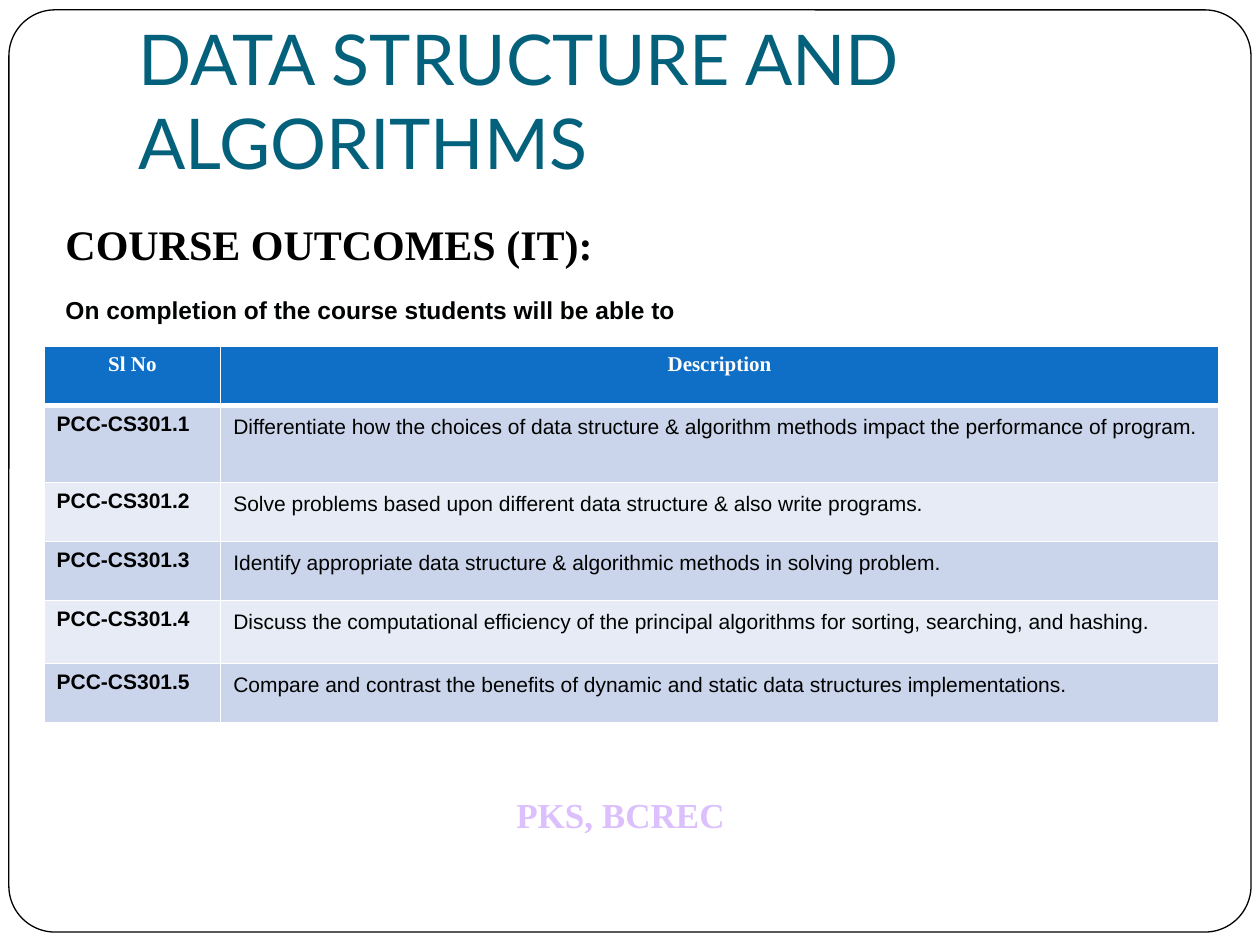
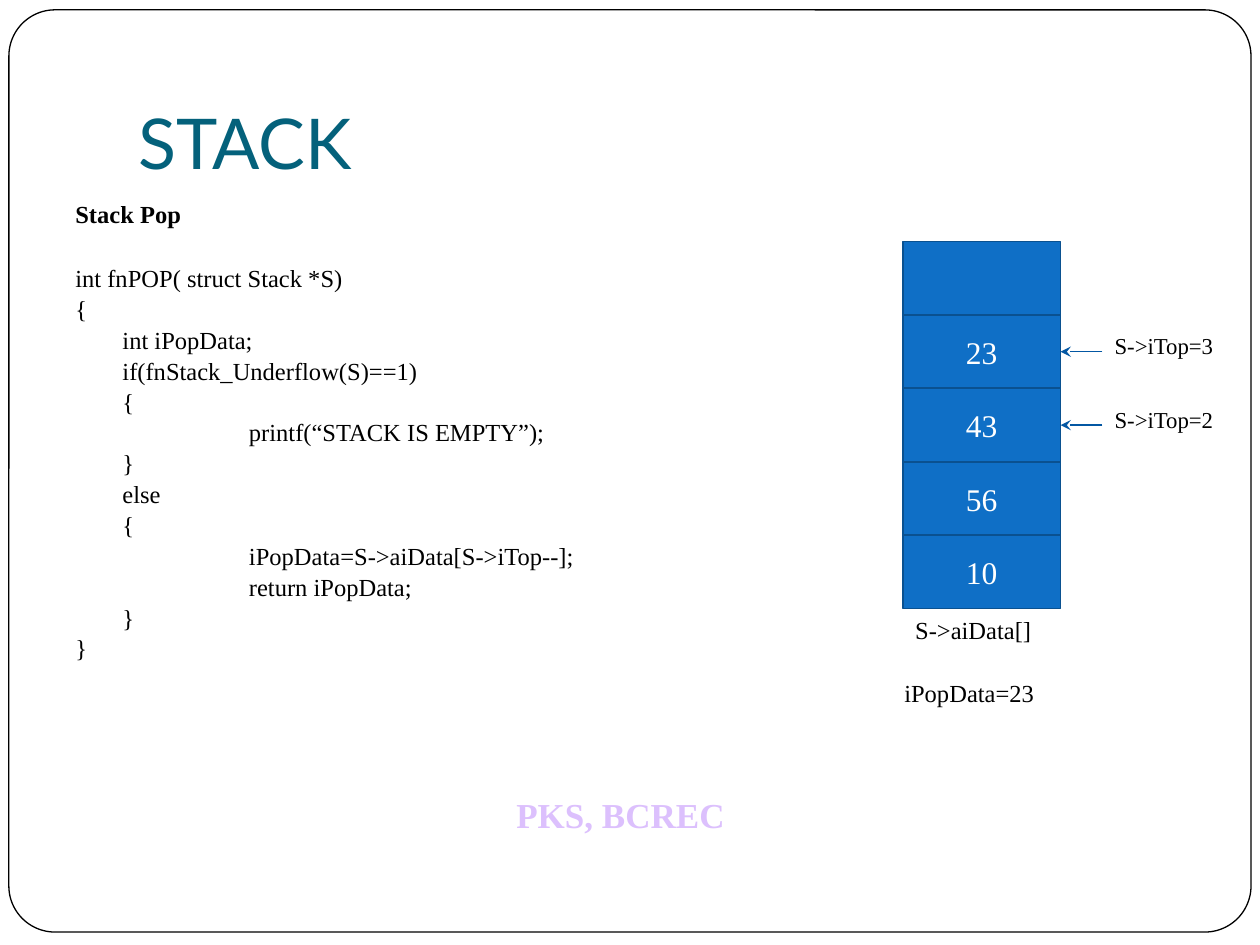
from lxml.etree import SubElement as Sub
from pptx import Presentation
from pptx.dml.color import RGBColor as Rgb
from pptx.enum.shapes import MSO_CONNECTOR as Link, MSO_SHAPE as Kind
from pptx.enum.text import MSO_ANCHOR as Anchor, PP_ALIGN as Align
from pptx.oxml.ns import qn
from pptx.util import Cm, Pt

WHITE = Rgb(0xFF, 0xFF, 0xFF)
BLACK = Rgb(0x00, 0x00, 0x00)
INK = Rgb(0x01, 0x02, 0x02)
TEAL = Rgb(0x04, 0x61, 0x7B)
LILAC = Rgb(0xDC, 0xC0, 0xFD)
BLUE = Rgb(0x0F, 0x6F, 0xC6)
EDGE = Rgb(0x0A, 0x51, 0x90)
ARROW = Rgb(0x03, 0x57, 0xA3)
BANDS = Rgb(0xCA, 0xD4, 0xEA), Rgb(0xE6, 0xEB, 0xF5)
SERIF, SANS, HEAD = "Times New Roman", "Arial", "Lato"

GOALS = [
    "Differentiate how the choices of data structure & algorithm methods "
    "impact the performance of program.",
    "Solve problems based upon different data structure & also write programs.",
    "Identify appropriate data structure & algorithmic methods in solving problem.",
    "Discuss the computational efficiency of the principal algorithms "
    "for sorting, searching, and hashing.",
    "Compare and contrast the benefits of dynamic and static data structures "
    "implementations.",
]
CODE = [
    (0, "int fnPOP( struct Stack *S)"),
    (0, "{"),
    (1, "int iPopData;"),
    (1, "if(fnStack_Underflow(S)==1)"),
    (1, "{"),
    (2, "printf(“STACK IS EMPTY”);"),
    (1, "}"),
    (1, "else"),
    (1, "{"),
    (2, "iPopData=S->aiData[S->iTop--];"),
    (2, "return iPopData;"),
    (1, "}"),
    (0, "}"),
]
TABS = Cm(0), Cm(0.95), Cm(3.5)


def style(par, text, size, color=BLACK, face=SERIF, bold=False):
    """Fill a paragraph with text in one font."""
    par.text = text
    font = par.font
    font.size, font.name, font.bold = Pt(size), face, bold
    font.color.rgb = color
    return par


def space(par, line, before, after=0):
    """Set line spacing and the gaps around a paragraph."""
    par.line_spacing = line
    par.space_before, par.space_after = Pt(before), Pt(after)


def text_box(slide, box):
    """Add a wrapping text box and return its frame."""
    frame = slide.shapes.add_textbox(*map(Cm, box)).text_frame
    frame.word_wrap = True
    return frame


def label(slide, box, text, size, color=BLACK, bold=False):
    """Add a one-paragraph text box."""
    style(text_box(slide, box).paragraphs[0], text, size, color, bold=bold)


def block(slide, kind, box, fill, edge, width):
    """Add a filled, outlined shape without shadow."""
    shape = slide.shapes.add_shape(kind, *map(Cm, box))
    shape.shadow.inherit = False
    shape.fill.solid()
    shape.fill.fore_color.rgb = fill
    shape.line.color.rgb = edge
    shape.line.width = Pt(width)
    return shape


def base(deck, title):
    """Add a slide with the shared frame, footer and title."""
    slide = deck.slides.add_slide(deck.slide_layouts[6])
    frame = block(slide, Kind.ROUNDED_RECTANGLE, (0.18, 0.2, 25.04, 18.59),
                  WHITE, BLACK, 0.75)
    frame.adjustments[0] = 0.05
    label(slide, (10.16, 15.88, 5.72, 1.12), "PKS, BCREC", 20, LILAC, True)
    head = text_box(slide, (2.54, 0.76, 21.59, 3.18))
    head.vertical_anchor = Anchor.BOTTOM
    head.margin_bottom = Cm(0.25)
    style(head.paragraphs[0], title, 40, TEAL, HEAD)
    return slide


def border(cell, bottom):
    """Draw white lines round a cell, with the given bottom width."""
    props = cell._tc.get_or_add_tcPr()
    for spot, (side, width) in enumerate(
            [("lnL", 1), ("lnR", 1), ("lnT", 1), ("lnB", bottom)]):
        line = Sub(props, qn("a:" + side), w=str(Pt(width)))
        Sub(Sub(line, qn("a:solidFill")), qn("a:srgbClr"), val=str(WHITE))
        props.insert(spot, line)


def goal_table(slide, box):
    """Place the table of course outcomes in the box."""
    rows = [("Sl No", "Description")]
    rows += [(f"PCC-CS301.{n}", goal) for n, goal in enumerate(GOALS, 1)]
    grid = slide.shapes.add_table(len(rows), 2, *map(Cm, box)).table
    grid.columns[0].width = Cm(3.56)
    grid.columns[1].width = Cm(box[2] - 3.56)
    for r, (row, high) in enumerate(zip(rows, (1.19, 1.55, 1.19, 1.19, 1.27, 1.19))):
        grid.rows[r].height = Cm(high)
        for c, text in enumerate(row):
            cell = grid.cell(r, c)
            cell.fill.solid()
            cell.fill.fore_color.rgb = BANDS[(r - 1) % 2] if r else BLUE
            border(cell, 1 if r else 3)
            par = cell.text_frame.paragraphs[0]
            if r == 0:
                style(par, text, 12, WHITE, bold=True).alignment = Align.CENTER
            elif c == 0:
                style(par, text, 12, BLACK, SANS, True)
            else:
                space(style(par, text, 12, INK, SANS), 1.15, 12, 12)


def course_slide(deck):
    """Build the slide of course outcomes."""
    slide = base(deck, "DATA STRUCTURE AND ALGORITHMS")
    intro = text_box(slide, (1.07, 4.29, 14.63, 1.63))
    style(intro.paragraphs[0], "COURSE OUTCOMES (IT):", 24, bold=True)
    lead = style(intro.add_paragraph(),
                 "On completion of the course students will be able to",
                 14, INK, SANS, True)
    space(lead, 1.15, 12, 12)
    goal_table(slide, (0.89, 6.99, 23.67, 7.58))


def code_list(slide, box):
    """Write the pop function, indented by depth."""
    frame = text_box(slide, box)
    space(style(frame.paragraphs[0], "Stack Pop", 14, bold=True), 0.8, 0)
    for n, (depth, text) in enumerate(CODE):
        par = style(frame.add_paragraph(), text, 14)
        space(par, 0.8, 4.2 if n else 23)
        par._p.get_or_add_pPr().set("marL", str(TABS[depth]))


def pointer(slide, left, right, top, text):
    """Point an arrow at a cell and label its tail."""
    label(slide, (right, top - 0.52, 3.05, 1.02), text, 13)
    line = slide.shapes.add_connector(
        Link.STRAIGHT, Cm(right), Cm(top), Cm(left), Cm(top))
    line.line.color.rgb = ARROW
    line.line.width = Pt(0.75)
    Sub(line.line._get_or_add_ln(), qn("a:tailEnd"), type="stealth")
    Sub(line._element.spPr, qn("a:effectLst"))


def stack(slide, box):
    """Draw the stack cells, their pointers and captions."""
    left, top, wide, high = box
    items = ["", "23", "43", "56", "10"]
    step = high / len(items)
    for n, item in enumerate(items):
        cell = block(slide, Kind.RECTANGLE, (left, top + n * step, wide, step),
                     BLUE, EDGE, 1)
        if item:
            cell.text_frame.vertical_anchor = Anchor.MIDDLE
            par = style(cell.text_frame.paragraphs[0], item, 18, WHITE)
            par.alignment = Align.CENTER
    side = left + wide
    for n, index in ((1, 3), (2, 2)):
        pointer(slide, side, side + 0.84, top + (n + 0.5) * step,
                f"S->iTop={index}")
    foot = top + high
    label(slide, (left, foot, 3.38, 1.02), "S->aiData[]", 14)
    label(slide, (left - 0.22, foot + 1.27, 3.84, 1.02), "iPopData=23", 14)


def stack_slide(deck):
    """Build the slide on popping a stack."""
    slide = base(deck, "STACK")
    code_list(slide, (1.27, 4.01, 16, 12.7))
    stack(slide, (18.2, 4.87, 3.18, 7.4))


def main():
    """Build and save the deck."""
    deck = Presentation()
    deck.slide_width, deck.slide_height = Cm(25.4), Cm(19.05)
    course_slide(deck)
    stack_slide(deck)
    deck.save("out.pptx")


if __name__ == "__main__":
    main()
